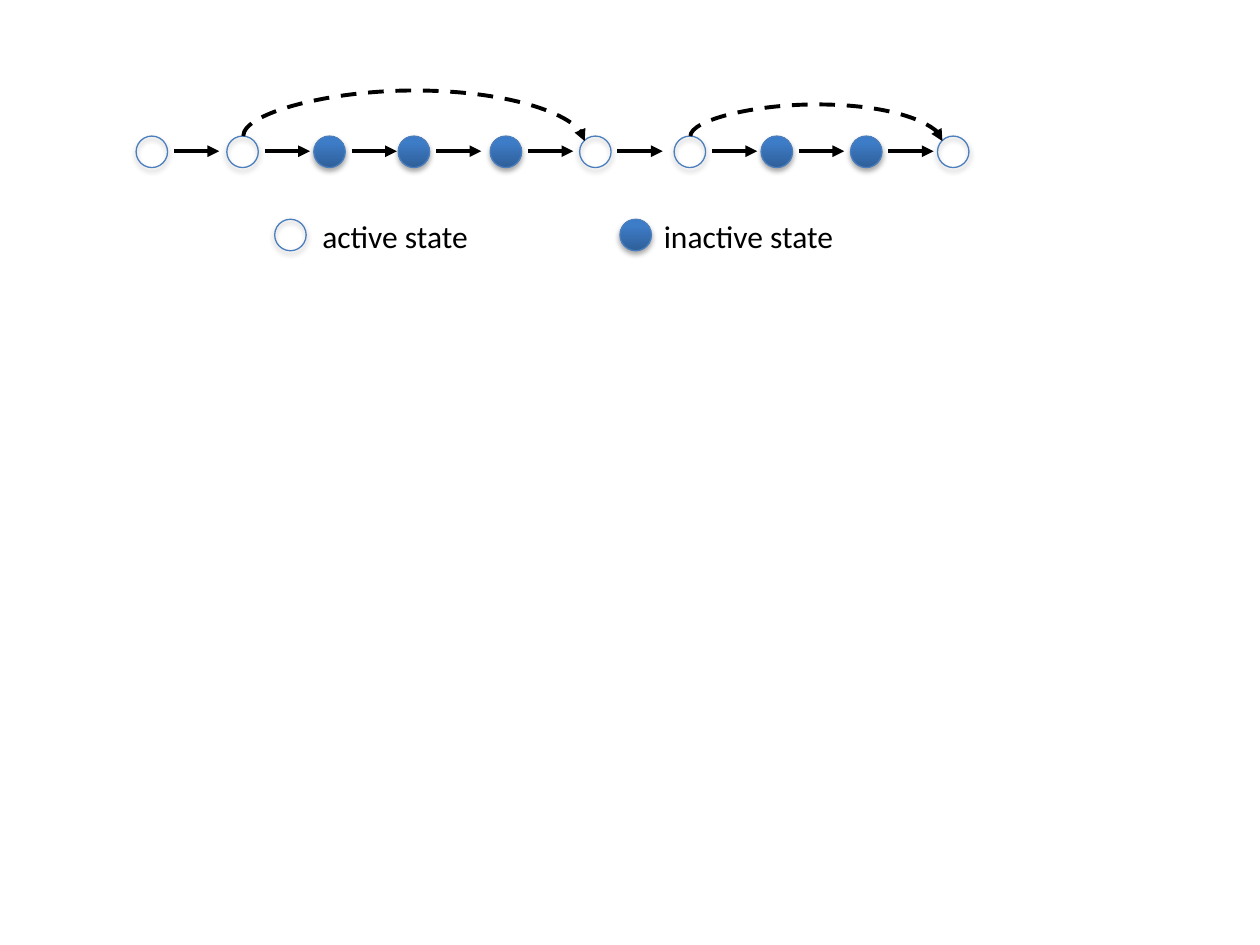
from copy import deepcopy

from lxml.etree import SubElement
from pptx import Presentation
from pptx.dml.color import RGBColor
from pptx.enum.dml import MSO_LINE
from pptx.enum.shapes import MSO_CONNECTOR, MSO_SHAPE
from pptx.oxml.ns import qn
from pptx.util import Pt

SCALE = 9144
SIZE = 25
BLACK = "000000"
STATES = [(0, True), (72, True), (141, False), (208, False), (281, False),
          (352, True), (427, True), (496, False), (567, False), (636, True)]
JUMPS = [(1, 5, 36), (6, 9, 25)]
SHADES = [(0, "2F5F99"), (0.8, "3D7CC7"), (1, "3A7CCB")]


def px(*vals):
    """Turn px lengths into EMU."""
    return [val * SCALE for val in vals]


def tint(color, code):
    """Set a colour from a hex string."""
    color.rgb = RGBColor.from_string(code)


def shade(fill):
    """Give a fill the three-stop upward gradient."""
    fill.gradient()
    fill.gradient_angle = 90
    last = fill.gradient_stops[1]._gs
    last.addnext(deepcopy(last))
    for stop, (place, code) in zip(fill.gradient_stops, SHADES):
        stop.position = place
        tint(stop.color, code)


def cast(shape):
    """Add a soft shadow below a shape."""
    shape.shadow.inherit = False
    effects = shape._element.spPr.find(qn("a:effectLst"))
    outer = SubElement(effects, qn("a:outerShdw"), blurRad=str(Pt(3.1)),
                       dist=str(Pt(1.8)), dir="5400000", rotWithShape="0")
    color = SubElement(outer, qn("a:srgbClr"), val=BLACK)
    SubElement(color, qn("a:alpha"), val="35000")


def state(shapes, left, top, active):
    """Draw one state as a hollow or filled circle."""
    dot = shapes.add_shape(MSO_SHAPE.OVAL, *px(left, top, SIZE, SIZE))
    if active:
        dot.fill.background()
    else:
        shade(dot.fill)
    tint(dot.line.color, "4B7EBC")
    dot.line.width = Pt(0.75)
    cast(dot)


def arrow(shapes, kind, *ends):
    """Draw a black connector with a triangle head."""
    link = shapes.add_connector(kind, *px(*ends))
    tint(link.line.color, BLACK)
    link.line.width = Pt(2.25)
    SubElement(link.line._get_or_add_ln(), qn("a:tailEnd"), type="triangle")
    SubElement(link._element.spPr, qn("a:effectLst"))
    return link


def jump(shapes, start, end, top, rise):
    """Draw a dashed arc over the states from start to end."""
    drop = 4
    mid, wide = (start + end) / 2, end - start
    link = arrow(shapes, MSO_CONNECTOR.CURVE, start, top, end, top + drop)
    link.line.dash_style = MSO_LINE.DASH
    link.left, link.top, link.width, link.height = [int(val) for val in px(
        mid - drop / 2, top + drop / 2 - wide / 2, drop, wide)]
    props = link._element.spPr
    frame = props.find(qn("a:xfrm"))
    frame.set("rot", "16200000")
    frame.set("flipH", "1")
    guides = props.find(qn("a:prstGeom")).find(qn("a:avLst"))
    SubElement(guides, qn("a:gd"), name="adj1",
               fmla=f"val {-rise * 100000 // drop}")


def chain(slide, left, top):
    """Draw the row of states, its arrows and its jumps."""
    shapes = slide.shapes.add_group_shape().shapes
    for step, active in STATES:
        spot = left + step
        if step != STATES[-1][0]:
            start = spot + SIZE + 5
            arrow(shapes, MSO_CONNECTOR.STRAIGHT,
                  start, top + 12, start + 36, top + 12)
        state(shapes, spot, top, active)
    for first, last, rise in JUMPS:
        jump(slide.shapes, left + STATES[first][0] + SIZE // 2 + 1,
             left + STATES[last][0] + 4, top, rise)


def entry(slide, left, top, gap, label, active):
    """Draw a legend entry: a state and its label."""
    shapes = slide.shapes.add_group_shape().shapes
    state(shapes, left, top + 7, active)
    box = shapes.add_textbox(*px(left + SIZE + gap, top, 194, 40))
    box.text_frame.word_wrap = True
    para = box.text_frame.paragraphs[0]
    para.text = label
    para.font.name = "Calibri"
    para.font.size = Pt(18)
    tint(para.font.color, BLACK)


def main():
    """Build and save the slide."""
    deck = Presentation()
    deck.slide_width, deck.slide_height = px(1000, 750)
    slide = deck.slides.add_slide(deck.slide_layouts[6])
    chain(slide, 108, 108)
    entry(slide, 218, 167, 3, "active state", True)
    entry(slide, 492, 167, 0, "inactive state", False)
    deck.save("out.pptx")


if __name__ == "__main__":
    main()
